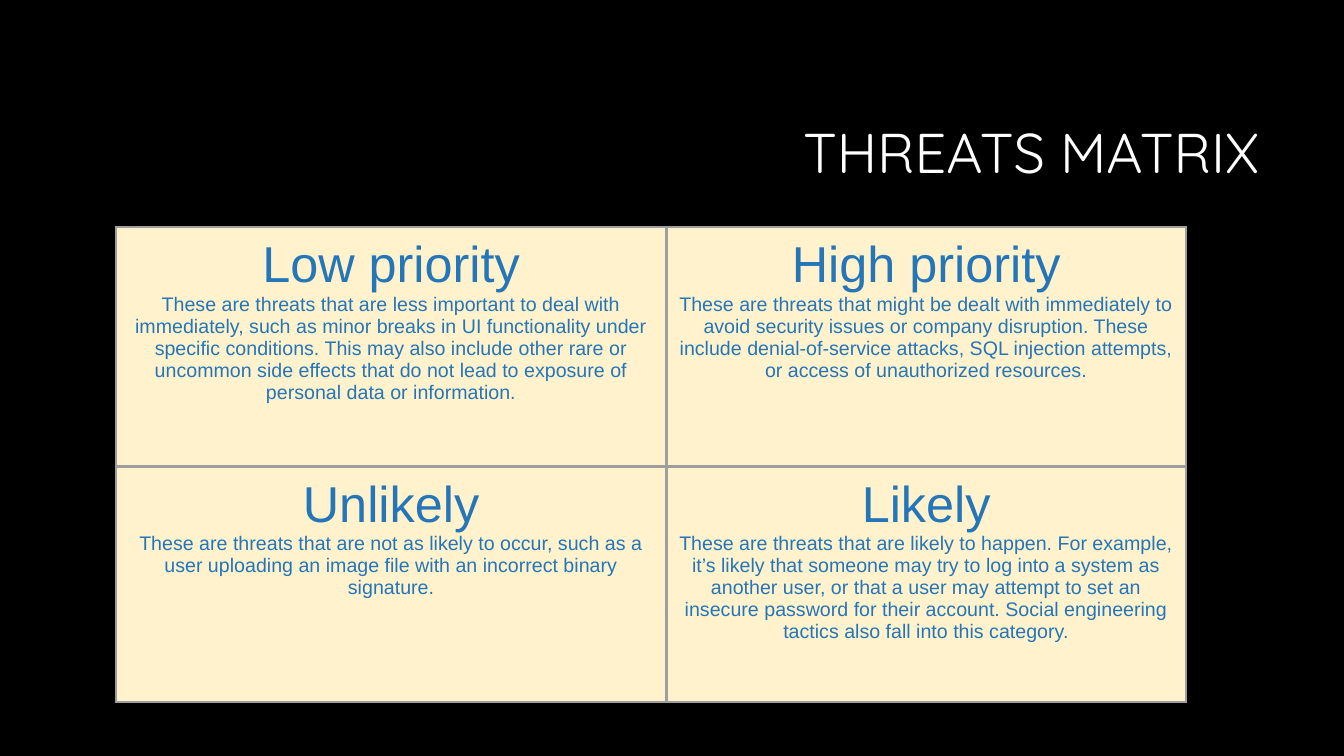
from lxml import etree
from pptx import Presentation
from pptx import util as u
from pptx.dml import color
from pptx.enum import text
from pptx.oxml import ns

COLORS = {"back": "000000", "title": "FFFFFF", "cell": "FFF2CC",
          "text": "2476B9", "border": "9E9E9E"}
TITLE_FRAME = {"margin_left": u.Cm(0.25), "margin_right": u.Cm(0.25),
               "margin_top": u.Cm(0.13), "margin_bottom": u.Cm(0.13),
               "vertical_anchor": text.MSO_ANCHOR.MIDDLE, "word_wrap": True,
               "auto_size": text.MSO_AUTO_SIZE.NONE}
CELL_FORMAT = {side: u.Cm(0.25) for side in
               ("margin_left", "margin_right", "margin_top", "margin_bottom")}
TITLE_FONT = {"name": "Quicksand", "size": u.Pt(40), "bold": False}
HEADING_FONT = {"name": "Arial", "size": u.Pt(36), "bold": False}
BODY_FONT = {"name": "Arial", "size": u.Pt(14), "bold": False}

COL_WIDTHS = (13.87, 13.1)
ROW_HEIGHTS = (6.04, 5.93)
THREATS = [
    [("Low priority",
      "These are threats that are less important to deal with immediately, such as "
      "minor breaks in UI functionality under specific conditions. This may also "
      "include other rare or uncommon side effects that do not lead to exposure of "
      "personal data or information."),
     ("High priority",
      "These are threats that might be dealt with immediately to avoid security "
      "issues or company disruption. These include denial-of-service attacks, SQL "
      "injection attempts, or access of unauthorized resources.")],
    [("Unlikely",
      "These are threats that are not as likely to occur, such as a user uploading "
      "an image file with an incorrect binary signature."),
     ("Likely",
      "These are threats that are likely to happen. For example, it’s likely that "
      "someone may try to log into a system as another user, or that a user may "
      "attempt to set an insecure password for their account. Social engineering "
      "tactics also fall into this category.")],
]


def apply(target, values):
    """Set each attribute in values on the target."""
    for name, value in values.items():
        setattr(target, name, value)


def write(p, content, font, ink, align):
    """Write one formatted run into a paragraph."""
    p.alignment = align
    r = p.add_run()
    r.text = content
    apply(r.font, font)
    r.font.color.rgb = color.RGBColor.from_string(COLORS[ink])


def add_borders(cell, width):
    """Draw a solid line on all four sides of a cell."""
    tc_pr = cell._tc.get_or_add_tcPr()
    for i, side in enumerate(("lnL", "lnR", "lnT", "lnB")):
        line = etree.Element(ns.qn(f"a:{side}"), w=str(int(width)))
        fill = etree.SubElement(line, ns.qn("a:solidFill"))
        etree.SubElement(fill, ns.qn("a:srgbClr"), val=COLORS["border"])
        tc_pr.insert(i, line)


def add_title(s, left, top, width, height):
    """Place the title placeholder in the given box."""
    sp = s.shapes.title
    apply(sp, {"left": left, "top": top, "width": width, "height": height})
    tf = sp.text_frame
    apply(tf, TITLE_FRAME)
    p = tf.paragraphs[0]
    p.line_spacing = 0.9
    write(p, "THREATS MATRIX", TITLE_FONT, "title", text.PP_ALIGN.RIGHT)


def fill_cell(cell, heading, body):
    """Fill one quadrant with its heading and description."""
    apply(cell, CELL_FORMAT)
    cell.fill.solid()
    cell.fill.fore_color.rgb = color.RGBColor.from_string(COLORS["cell"])
    tf = cell.text_frame
    write(tf.paragraphs[0], heading, HEADING_FONT, "text", text.PP_ALIGN.CENTER)
    write(tf.add_paragraph(), body, BODY_FONT, "text", text.PP_ALIGN.CENTER)
    add_borders(cell, u.Pt(2.25))


def add_matrix(s, left, top, width, height):
    """Place the threats table, sharing the box out by column and row."""
    table = s.shapes.add_table(len(THREATS), len(THREATS[0]),
                               left, top, width, height).table
    apply(table, {"first_row": False, "horz_banding": False})
    for column, share in zip(table.columns, COL_WIDTHS):
        column.width = int(width * share / sum(COL_WIDTHS))
    for row, share, quadrants in zip(table.rows, ROW_HEIGHTS, THREATS):
        row.height = int(height * share / sum(ROW_HEIGHTS))
        for cell, quadrant in zip(row.cells, quadrants):
            fill_cell(cell, *quadrant)


def main():
    """Build the threats matrix slide."""
    prs = Presentation()
    apply(prs, {"slide_width": u.Cm(33.87), "slide_height": u.Cm(19.05)})
    s = prs.slides.add_slide(prs.slide_layouts[5])
    s.background.fill.solid()
    s.background.fill.fore_color.rgb = color.RGBColor.from_string(COLORS["back"])
    add_title(s, u.Cm(8.05), u.Cm(2.13), u.Cm(23.93), u.Cm(3.58))
    add_matrix(s, u.Cm(2.92), u.Cm(5.72), u.Cm(26.97), u.Cm(11.97))
    prs.save("out.pptx")


if __name__ == "__main__":
    main()
